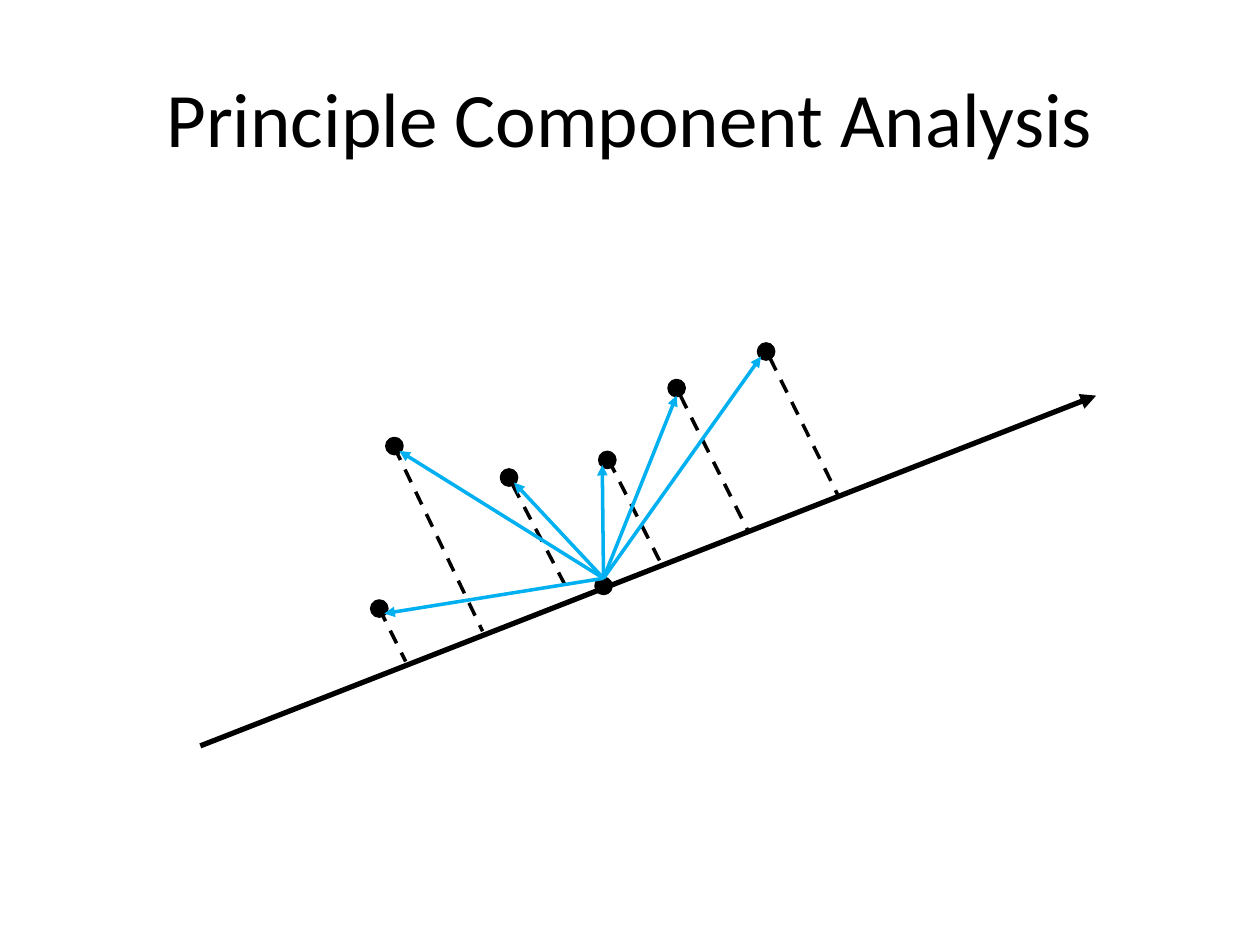
from lxml import etree
from pptx import Presentation
from pptx.dml.color import RGBColor
from pptx.enum.dml import MSO_LINE
from pptx.enum.shapes import MSO_CONNECTOR, MSO_SHAPE
from pptx.enum.text import MSO_ANCHOR, PP_ALIGN
from pptx.oxml.ns import qn
from pptx.util import Pt

COLORS = {"ink": "000000", "vector": "00B0F0"}
DOT_SIZE = 8.64

presentation = Presentation()
presentation.slide_width, presentation.slide_height = Pt(720), Pt(540)
slide = presentation.slides.add_slide(presentation.slide_layouts[6])


def add_text(text, left, top, width, height, size, color, font="Calibri"):
    shape = slide.shapes.add_textbox(Pt(left), Pt(top), Pt(width), Pt(height))
    frame = shape.text_frame
    frame.word_wrap = True
    frame.vertical_anchor = MSO_ANCHOR.MIDDLE
    paragraph = frame.paragraphs[0]
    paragraph.text = text
    paragraph.alignment = PP_ALIGN.CENTER
    paragraph.font.name = font
    paragraph.font.size = Pt(size)
    paragraph.font.color.rgb = RGBColor.from_string(COLORS[color])


def add_line(start, end, color="ink", width=2, dashed=False, arrow=False):
    line = slide.shapes.add_connector(
        MSO_CONNECTOR.STRAIGHT, *(Pt(value) for value in start + end))
    line.line.color.rgb = RGBColor.from_string(COLORS[color])
    line.line.width = Pt(width)
    if dashed:
        line.line.dash_style = MSO_LINE.DASH
    properties = line._element.spPr
    if arrow:
        etree.SubElement(properties.find(qn("a:ln")), qn("a:tailEnd"), type="triangle")
    etree.SubElement(properties, qn("a:effectLst"))


# Title
add_text("Principle Component Analysis", 36, 21.6, 648, 90, size=44, color="ink")

# Principal axis
add_line((114.48, 426.24), (626.4, 226.08), width=3, arrow=True)

# Data points (top left corners), with the mean last
dots = [
    (221.04, 250.56), (286.56, 268.56), (433.44, 196.56), (212.4, 343.44),
    (342.72, 258.48), (382.32, 217.44), (340.56, 330.48),
]
ink = RGBColor.from_string(COLORS["ink"])
for left, top in dots:
    dot = slide.shapes.add_shape(
        MSO_SHAPE.OVAL, Pt(left), Pt(top), Pt(DOT_SIZE), Pt(DOT_SIZE))
    dot.shadow.inherit = False
    dot.fill.solid()
    dot.fill.fore_color.rgb = ink
    dot.line.color.rgb = ink
    dot.line.width = Pt(2)

# Projections of the points onto the axis
projections = [
    ((293.04, 277.2), (325.44, 339.12)),
    ((347.76, 262.8), (377.28, 321.12)),
    ((388.8, 226.08), (427.68, 303.84)),
    ((439.92, 204.48), (478.8, 282.96)),
    ((225.36, 255.6), (275.76, 360.72)),
    ((216.72, 347.76), (231.84, 378)),
]
for point, foot in projections:
    add_line(point, foot, dashed=True)

# Vectors from the mean to the points
mean_left, mean_top = dots[-1]
mean_tip = (mean_left + DOT_SIZE / 2, mean_top)
vector_ends = [
    (344.16, 265.68), (386.64, 226.08), (434.88, 203.76),
    (293.76, 275.76), (228.24, 257.76), (219.6, 350.64),
]
for end in vector_ends:
    add_line(mean_tip, end, color="vector", arrow=True)

presentation.save("out.pptx")
